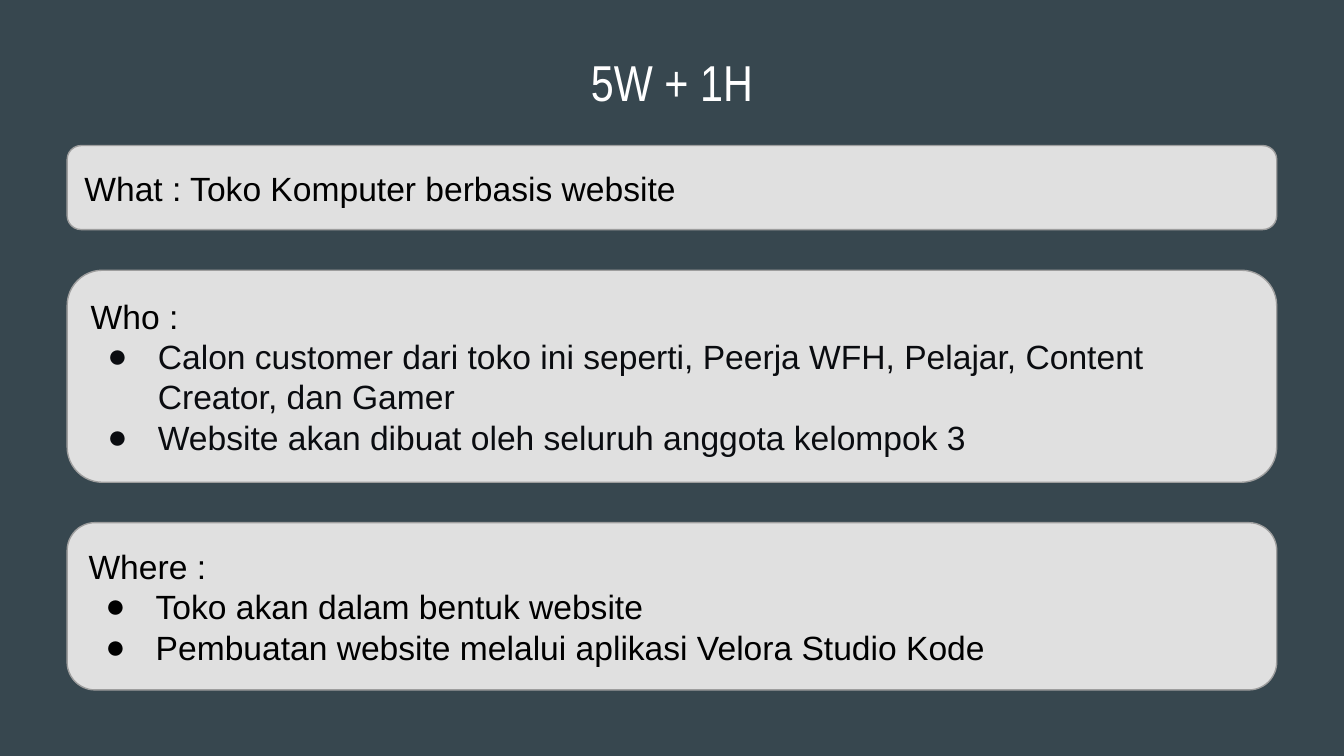
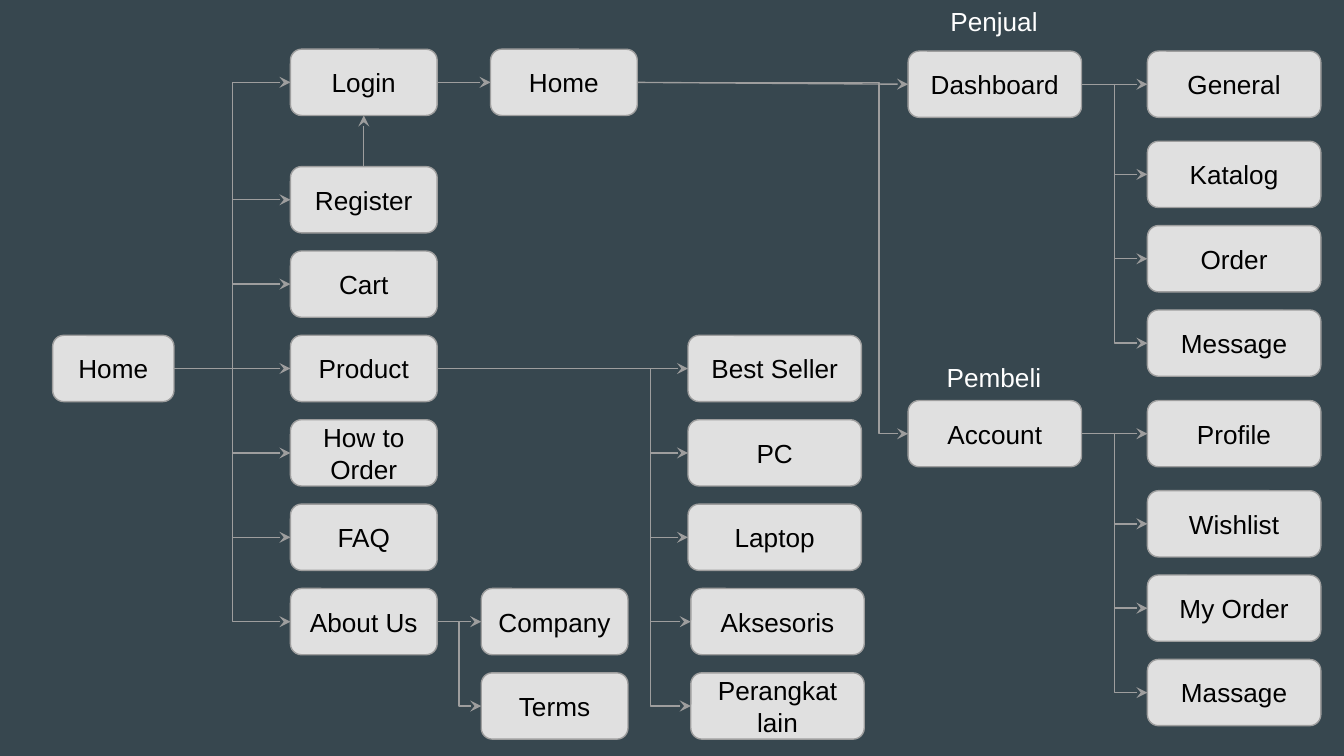
from lxml import etree
from pptx import Presentation
from pptx import util as u
from pptx.dml.color import RGBColor
from pptx.enum import shapes, text
from pptx.oxml.ns import qn

COLORS = {
    "background": "37474F",
    "box": "E0E0E0",
    "line": "9E9E9E",
    "ink": "000000",
    "dark": "0A0C10",
    "light": "FFFFFF",
}
FONT, TITLE_FONT = "Arial", "Arial Narrow"
INSET = 7.2

TITLE = "5W + 1H"
# top, height, heading, bullet colour, bullets
QUESTIONS = [
    (78, 45, "What : Toko Komputer berbasis website", "ink", []),
    (144.8, 113.6, "Who :", "dark", [
        "Calon customer dari toko ini seperti, Peerja WFH, Pelajar, Content Creator, dan Gamer",
        "Website akan dibuat oleh seluruh anggota kelompok 3",
    ]),
    (280, 89.6, "Where :", "ink", [
        "Toko akan dalam bentuk website",
        "Pembuatan website melalui aplikasi Velora Studio Kode",
    ]),
]

BOX_HEIGHT = 35.5
ROW_PITCH = 45.2
FIRST_GAP = 48.3
LOGIN_TOP, REGISTER_TOP = 26.4, 89.3
PRODUCT_TOP = REGISTER_TOP + 2 * ROW_PITCH
ABOUT_TOP = REGISTER_TOP + 5 * ROW_PITCH
SELLER_TOP, BUYER_TOP = 27.4, 214.6

# left, width, top of first box, gap to second box, pages
COLUMNS = [
    (28.2, 65, PRODUCT_TOP, 0, ["Home"]),
    (155.6, 78.6, LOGIN_TOP, REGISTER_TOP - LOGIN_TOP,
     ["Login", "Register", "Cart", "Product", "How to Order", "FAQ", "About Us"]),
    (262.8, 78.6, LOGIN_TOP, 0, ["Member Home"]),
    (257.8, 78.6, ABOUT_TOP, ROW_PITCH, ["Company", "Terms"]),
    (368.6, 92.9, PRODUCT_TOP, ROW_PITCH, ["Best Seller", "PC", "Laptop"]),
    (370.1, 92.9, ABOUT_TOP, ROW_PITCH, ["Aksesoris", "Perangkat lain"]),
    (486.5, 92.9, SELLER_TOP, 0, ["Dashboard"]),
    (486.5, 92.9, BUYER_TOP, 0, ["Account"]),
    (614.7, 92.9, SELLER_TOP, FIRST_GAP, ["General", "Katalog", "Order", "Message"]),
    (614.7, 92.9, BUYER_TOP, FIRST_GAP, ["Profile", "Wishlist", "My Order", "Massage"]),
]
SHOWN_NAMES = {"Member Home": "Home"}

# page: (x of the elbow, pages it leads to)
LINKS = {
    "Home": (124.6, ["Login", "Register", "Cart", "Product", "How to Order", "FAQ", "About Us"]),
    "Login": (248.4, ["Member Home"]),
    "Product": (348.5, ["Best Seller", "PC", "Laptop", "Aksesoris", "Perangkat lain"]),
    "About Us": (246, ["Company", "Terms"]),
    "Member Home": (471, ["Dashboard", "Account"]),
    "Dashboard": (597, ["General", "Katalog", "Order", "Message"]),
    "Account": (597, ["Profile", "Wishlist", "My Order", "Massage"]),
}
ROLES = [("Penjual", -4.3), ("Pembeli", 186.5)]
TOP_SITE, LEFT_SITE, BOTTOM_SITE, RIGHT_SITE = range(4)


def rgb(name):
    return RGBColor.from_string(COLORS[name])


def prepare_frame(shape, anchor):
    frame = shape.text_frame
    frame.word_wrap = True
    frame.auto_size = text.MSO_AUTO_SIZE.NONE
    frame.vertical_anchor = anchor
    frame.margin_left = frame.margin_right = u.Pt(INSET)
    frame.margin_top = frame.margin_bottom = u.Pt(INSET)
    return frame


def write(paragraph, words, size, color="ink", font=FONT, align=text.PP_ALIGN.CENTER):
    paragraph.alignment = align
    run = paragraph.add_run()
    run.text = words
    run.font.size = u.Pt(size)
    run.font.name = font
    run.font.color.rgb = rgb(color)


def add_bullet(paragraph, color):
    properties = paragraph._p.get_or_add_pPr()
    properties.set("marL", str(u.Pt(36)))
    properties.set("indent", str(u.Pt(-27)))
    bullet_color = etree.SubElement(properties, qn("a:buClr"))
    etree.SubElement(bullet_color, qn("a:srgbClr"), val=COLORS[color])
    etree.SubElement(properties, qn("a:buFont"), typeface=FONT)
    etree.SubElement(properties, qn("a:buChar"), char="●")


def add_box(slide, left, top, width, height):
    shape = slide.shapes.add_shape(shapes.MSO_SHAPE.ROUNDED_RECTANGLE,
                                   u.Pt(left), u.Pt(top), u.Pt(width), u.Pt(height))
    shape.shadow.inherit = False
    shape.fill.solid()
    shape.fill.fore_color.rgb = rgb("box")
    shape.line.color.rgb = rgb("line")
    shape.line.width = u.Pt(0.75)
    return shape, prepare_frame(shape, text.MSO_ANCHOR.MIDDLE)


def add_arrow(slide, source, target, sites=(RIGHT_SITE, LEFT_SITE), elbow=None):
    """Glue an arrow to two boxes; it bends at x = elbow when one is given."""
    kind = shapes.MSO_CONNECTOR.STRAIGHT if elbow is None else shapes.MSO_CONNECTOR.ELBOW
    arrow = slide.shapes.add_connector(kind, 0, 0, 0, 0)
    arrow.begin_connect(source, sites[0])
    arrow.end_connect(target, sites[1])
    arrow.line.color.rgb = rgb("line")
    arrow.line.width = u.Pt(0.75)
    properties = arrow._element.spPr
    etree.SubElement(properties.find(qn("a:ln")), qn("a:tailEnd"), type="stealth")
    etree.SubElement(properties, qn("a:effectLst"))
    if elbow is not None:
        share = (u.Pt(elbow) - arrow.begin_x) / (arrow.end_x - arrow.begin_x)
        guides = properties.find(qn("a:prstGeom")).get_or_add_avLst()
        etree.SubElement(guides, qn("a:gd"), name="adj1", fmla=f"val {round(share * 100000)}")


def build_questions(presentation):
    slide = presentation.slides.add_slide(presentation.slide_layouts[5])
    title = slide.shapes.title
    title.left, title.top, title.width, title.height = map(u.Pt, (24.5, 20.2, 671, 45.4))
    frame = prepare_frame(title, text.MSO_ANCHOR.TOP)
    write(frame.paragraphs[0], TITLE, 27, "light", TITLE_FONT)
    for top, height, heading, color, bullets in QUESTIONS:
        _, frame = add_box(slide, 36, top, 648, height)
        write(frame.paragraphs[0], heading, 18, align=text.PP_ALIGN.LEFT)
        for words in bullets:
            paragraph = frame.add_paragraph()
            write(paragraph, words, 18, color, align=text.PP_ALIGN.LEFT)
            add_bullet(paragraph, color)


def build_site_map(presentation):
    slide = presentation.slides.add_slide(presentation.slide_layouts[6])
    boxes = {}
    for left, width, top, first_gap, pages in COLUMNS:
        for index, page in enumerate(pages):
            drop = first_gap + (index - 1) * ROW_PITCH if index else 0
            boxes[page], frame = add_box(slide, left, top + drop, width, BOX_HEIGHT)
            write(frame.paragraphs[0], SHOWN_NAMES.get(page, page), 14)

    for page, (elbow, targets) in LINKS.items():
        for target in targets:
            level = abs(boxes[page].top - boxes[target].top) < u.Pt(2)
            add_arrow(slide, boxes[page], boxes[target], elbow=None if level else elbow)
    add_arrow(slide, boxes["Register"], boxes["Login"], (TOP_SITE, BOTTOM_SITE))

    for role, top in ROLES:
        label = slide.shapes.add_textbox(u.Pt(487.5), u.Pt(top), u.Pt(90), u.Pt(31.7))
        frame = prepare_frame(label, text.MSO_ANCHOR.TOP)
        write(frame.paragraphs[0], role, 14, "light")


def main():
    presentation = Presentation()
    presentation.slide_width, presentation.slide_height = u.Pt(720), u.Pt(405)
    background = presentation.slide_master.background.fill
    background.solid()
    background.fore_color.rgb = rgb("background")
    build_questions(presentation)
    build_site_map(presentation)
    presentation.save("out.pptx")


if __name__ == "__main__":
    main()
